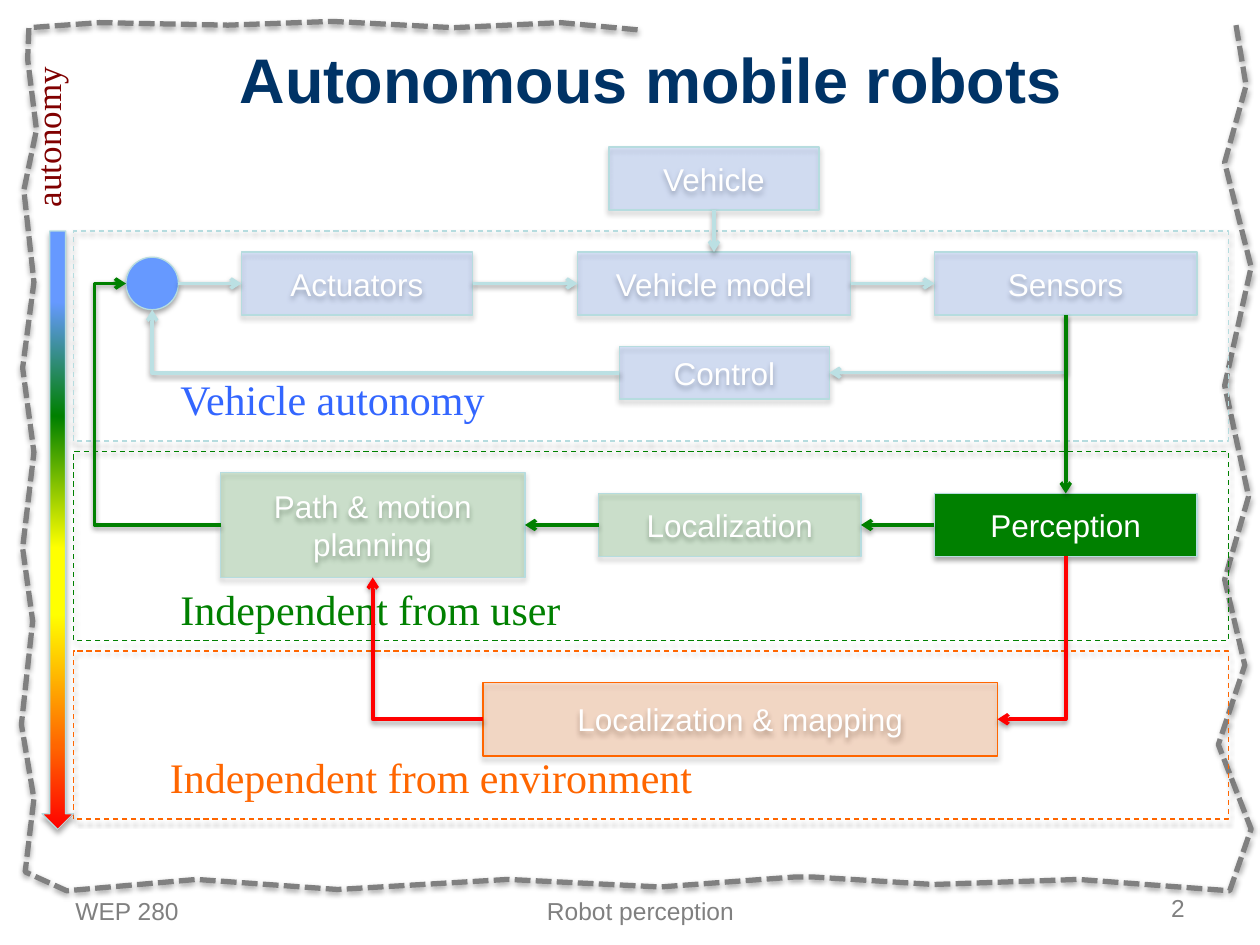
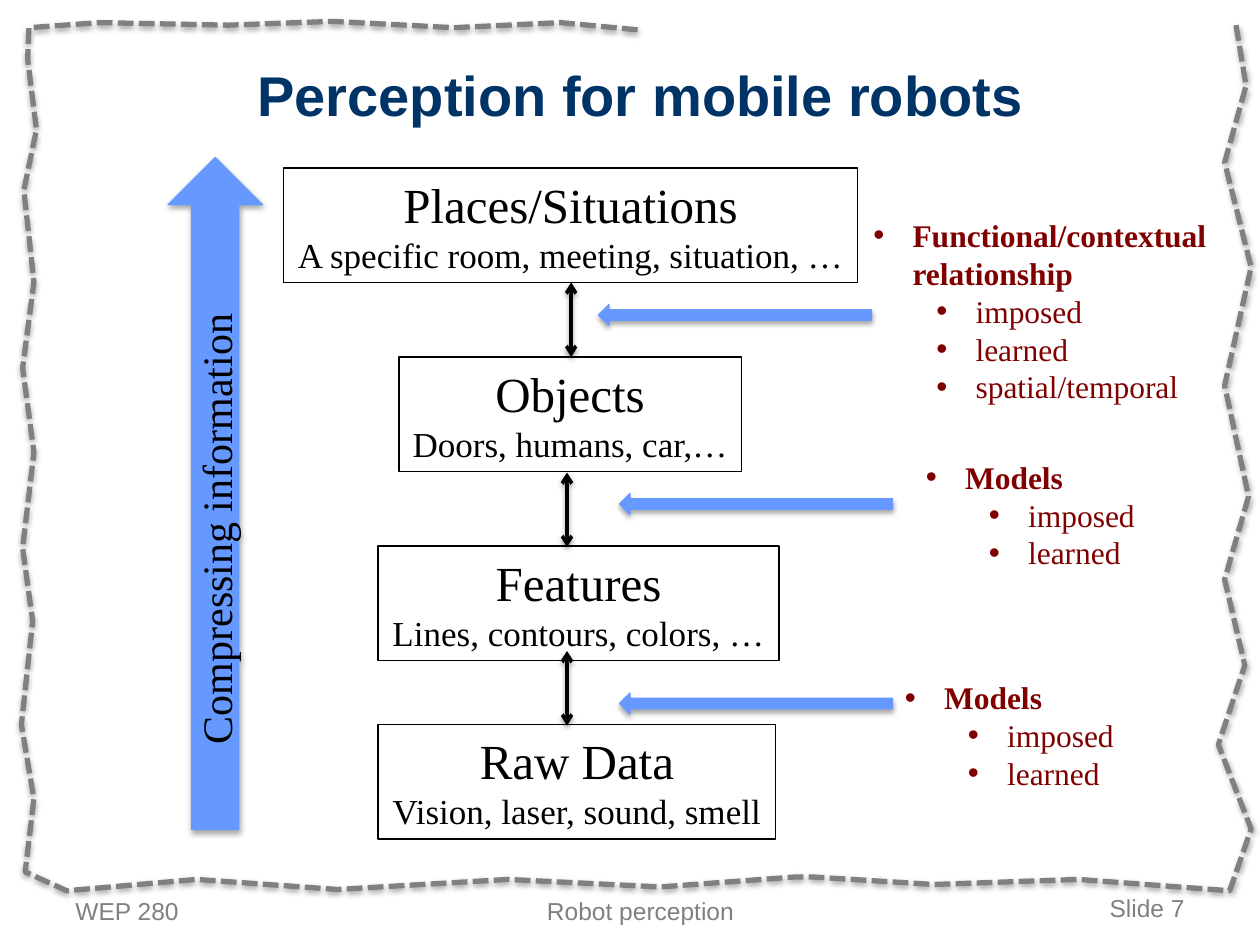
from lxml.etree import SubElement as Sub
from pptx import Presentation
from pptx.dml.color import RGBColor as Rgb
from pptx.enum.dml import MSO_LINE as Dash
from pptx.enum.shapes import MSO_CONNECTOR as Link, MSO_SHAPE as Kind
from pptx.enum.text import MSO_ANCHOR as Anchor, PP_ALIGN as Align
from pptx.oxml.ns import qn
from pptx.util import Cm, Pt

HUES = {
    "title": "003366", "gray": "808080", "blue": "6699FF", "label": "3366FF",
    "edge": "B6DCDF", "pale": "BBE0E3", "green": "008000", "yellow": "FFFF00",
    "orange": "FF6600", "red": "FF0000", "maroon": "800000",
    "white": "FFFFFF", "black": "000000",
}
SANS, SERIF = "Arial", "Times New Roman"
EDGE = [
    (981, 20), (989, 68), (972, 129), (993, 212), (972, 306), (991, 394),
    (972, 460), (988, 528), (967, 591), (993, 658), (976, 707), (856, 698),
    (741, 702), (644, 696), (632, 696), (524, 704), (403, 698), (268, 706),
    (156, 698), (53, 707), (20, 692), (27, 634), (17, 575), (26, 493),
    (18, 435), (27, 359), (18, 292), (27, 224), (19, 151), (29, 103),
    (22, 47), (23, 22), (79, 18), (181, 20), (264, 17), (360, 22),
    (445, 18), (509, 24),
]


def grid(n):
    return Cm(n * 2.54 / 12)


def spots(*nums):
    return [grid(n) for n in nums]


def hue(name):
    return Rgb.from_string(HUES[name])


def shade(part, alpha=35, dist=1.8):
    props = part._element.spPr
    glow = props.find(qn("a:effectLst"))
    if glow is None:
        glow = Sub(props, qn("a:effectLst"))
    drop = Sub(glow, qn("a:outerShdw"), blurRad=str(Pt(3.1)), dist=str(Pt(dist)),
               dir="5400000", rotWithShape="0")
    tint = Sub(drop, qn("a:srgbClr"), val=HUES["black"])
    Sub(tint, qn("a:alpha"), val=str(alpha * 1000))


def style(para, size, color, face=SANS, bold=False):
    for run in para.runs:
        font = run.font
        font.size, font.name, font.bold = Pt(size), face, bold
        font.color.rgb = hue(color)


def write(shape, text, size, color, face=SANS, bold=False,
          align=Align.LEFT, anchor=Anchor.TOP, wrap=True):
    frame = shape.text_frame
    frame.text = text
    frame.word_wrap = wrap
    frame.vertical_anchor = anchor
    frame.paragraphs[0].alignment = align
    style(frame.paragraphs[0], size, color, face, bold)


def label(slide, box, *args, **opts):
    shape = slide.shapes.add_textbox(*spots(*box))
    write(shape, *args, **opts)
    return shape


def block(slide, box, fill=None, line="edge", kind=Kind.RECTANGLE, alpha=100, drop=True):
    shape = slide.shapes.add_shape(kind, *spots(*box))
    shape.shadow.inherit = False
    if fill:
        shape.fill.solid()
        shape.fill.fore_color.rgb = hue(fill)
        if alpha < 100:
            tint = shape._element.spPr.find(qn("a:solidFill"))[0]
            Sub(tint, qn("a:alpha"), val=str(alpha * 1000))
    else:
        shape.fill.background()
    shape.line.color.rgb = hue(line)
    shape.line.width = Pt(0.75)
    if drop:
        shade(shape)
    return shape


def step(slide, box, text, fill="blue", alpha=21, line="edge"):
    shape = block(slide, box, fill, line, alpha=alpha)
    write(shape, text, 18, "white", align=Align.CENTER, anchor=Anchor.MIDDLE)


def ink(link, color, both=False):
    link.line.color.rgb = hue(color)
    link.line.width = Pt(2)
    line = link.line._get_or_add_ln()
    for end in (("headEnd", "tailEnd") if both else ("tailEnd",)):
        Sub(line, qn("a:" + end), type="arrow")
    shade(link, 38, 1.6)


def arrow(slide, start, end, color, both=False):
    link = slide.shapes.add_connector(Link.STRAIGHT, *spots(*start, *end))
    ink(link, color, both)


def bend(slide, start, end, color, turn=180, swing=None):
    (ax, ay), (bx, by) = start, end
    mx, my = (ax + bx) / 2, (ay + by) / 2
    wide, high = abs(bx - ax), abs(by - ay)
    if turn == 90:
        wide, high = high, wide
    link = slide.shapes.add_connector(
        Link.ELBOW, *spots(mx - wide / 2, my - high / 2, mx + wide / 2, my + high / 2))
    props = link._element.spPr
    props.find(qn("a:xfrm")).set("rot", str(turn * 60000))
    geom = props.find(qn("a:prstGeom"))
    if swing:
        Sub(geom.find(qn("a:avLst")), qn("a:gd"), name="adj1", fmla=f"val {swing}")
    else:
        geom.set("prst", "bentConnector2")
    ink(link, color)


def border(slide):
    pen = slide.shapes.build_freeform(*EDGE[0], scale=grid(0.12))
    pen.add_line_segments(EDGE[1:], close=False)
    shape = pen.convert_to_shape()
    shape.shadow.inherit = False
    shape.fill.background()
    shape.line.color.rgb = hue("gray")
    shape.line.width = Pt(3)
    shape.line.dash_style = Dash.SQUARE_DOT
    shape.line._get_or_add_ln().find(qn("a:prstDash")).set("val", "sysDash")
    shade(shape, 38, 1.6)


def base(deck, title, box, size, number):
    slide = deck.slides.add_slide(deck.slide_layouts[6])
    border(slide)
    label(slide, box, title, size, "title", bold=True,
          align=Align.CENTER, anchor=Anchor.MIDDLE)
    top, high = 84.7, 3.5
    label(slide, (6, top, 28, high), "WEP 280", 14, "gray")
    label(slide, (41, top, 40, high), "Robot perception", 14, "gray", align=Align.CENTER)
    label(slide, (86, top, 28, high), number, 14, "gray",
          align=Align.RIGHT, anchor=Anchor.MIDDLE)
    return slide


def zone(slide, box, line, steps):
    x, y = box[:2]
    block(slide, box, line=line).line.dash_style = Dash.DASH
    for text, (dx, dy, wide, high), *look in steps:
        step(slide, (x + dx, y + dy, wide, high), text, *look)


def scale(slide, box):
    x, y, wide, high = box
    shape = block(slide, box, "blue", kind=Kind.DOWN_ARROW)
    shape.fill.gradient()
    shape.fill.gradient_angle = 267
    stops = shape._element.spPr.find(qn("a:gradFill")).find(qn("a:gsLst"))
    for old in list(stops):
        stops.remove(old)
    for pos, name in ((12, "blue"), (31, "green"), (53, "yellow"),
                      (64, "yellow"), (86, "orange"), (100, "red")):
        stop = Sub(stops, qn("a:gs"), pos=str(pos * 1000))
        Sub(stop, qn("a:srgbClr"), val=HUES[name])
    name = label(slide, (x - 7.4, y - 11.7, 15.9, 5.3), "autonomy", 20, "maroon",
                 SERIF, wrap=False)
    name.rotation = 270


def flow(slide):
    bend(slide, (101.5, 30), (79, 35.5), "pale", 90)
    bend(slide, (59, 35.5), (14.5, 29.5), "pale")
    for left, right in ((17, 23), (45, 55), (81, 89)):
        arrow(slide, (left, 27), (right, 27), "pale")
    arrow(slide, (68, 20), (68, 24), "pale")
    arrow(slide, (101.5, 30), (101.5, 47), "green")
    for right, left in ((89, 82), (57, 50)):
        arrow(slide, (right, 50), (left, 50), "green")
    bend(slide, (21, 50), (12, 27), "green", swing=133333)
    bend(slide, (101.5, 53), (95, 68.5), "red", 90)
    bend(slide, (46, 68.5), (35.5, 55), "red")


def robots(deck):
    slide = base(deck, "Autonomous mobile robots", (6, 4, 112, 7), 36, "2")
    step(slide, (58, 14, 20, 6), "Vehicle")
    zone(slide, (7, 22, 110, 20), "edge", [
        ("Actuators", (16, 2, 22, 6)),
        ("Vehicle model", (48, 2, 26, 6)),
        ("Sensors", (82, 2, 25, 6)),
        ("Control", (52, 11, 20, 5)),
    ])
    zone(slide, (7, 43, 110, 18), "green", [
        ("Path & motion planning", (14, 2, 29, 10), "green", 16),
        ("Localization", (50, 4, 25, 6), "green", 16),
        ("Perception", (82, 4, 25, 6), "green", 100),
    ])
    zone(slide, (7, 62, 110, 16), "orange", [
        ("Localization & mapping", (39, 3, 49, 7), "orange", 18, "orange"),
    ])
    block(slide, (12, 24.5, 5, 5), "blue", kind=Kind.OVAL)
    scale(slide, (4, 22, 3, 57))
    for x, y, wide, text, color in (
            (16, 35, 35, "Vehicle autonomy", "label"),
            (16, 55, 40, "Independent from user", "green"),
            (15, 71, 52.8, "Independent from environment", "orange")):
        label(slide, (x, y, wide, 6), text, 24, color, SERIF)
    flow(slide)


def level(slide, box, head, note):
    shape = block(slide, box, line="black", drop=False)
    write(shape, head, 28, "black", SERIF, align=Align.CENTER, wrap=False)
    para = shape.text_frame.add_paragraph()
    para.text = note
    para.alignment = Align.CENTER
    style(para, 20, "black", SERIF)


def points(slide, box, head, items, wrap):
    frame = slide.shapes.add_textbox(*spots(*box)).text_frame
    frame.word_wrap = wrap
    for i, text in enumerate([head] + items):
        para = frame.add_paragraph() if i else frame.paragraphs[0]
        para.text = text
        para.level = min(i, 1)
        props = para._p.get_or_add_pPr()
        props.set("marL", str(Cm(2.06 if i else 0.79)))
        props.set("indent", str(-Cm(0.79)))
        Sub(props, qn("a:buFont"), typeface=SANS)
        Sub(props, qn("a:buChar"), char="•")
        style(para, 18, "maroon", SERIF, bold=not i)


def climb(slide, box):
    x, y, wide, high = box
    left, top = x + (wide - high) / 2, y + (high - wide) / 2
    shape = block(slide, (left, top, high, wide), "blue", "blue", Kind.RIGHT_ARROW)
    shape.rotation = 270
    write(shape, "Compressing information", 24, "black", SERIF,
          align=Align.CENTER, anchor=Anchor.MIDDLE)
    shape.text_frame.margin_right = Cm(1.2)


def senses(deck):
    slide = base(deck, "Perception for mobile robots", (6, 4, 110, 10), 32, "Slide 7")
    for x, y, wide, head, note in (
            (27, 16, 54.7, "Places/Situations", "A specific room, meeting, situation, …"),
            (38, 34, 32.6, "Objects", "Doors, humans, car,…"),
            (36, 52, 38.2, "Features", "Lines, contours, colors, …"),
            (36, 69, 37.9, "Raw Data", "Vision, laser, sound, smell")):
        level(slide, (x, y, wide, 10.9), head, note)
    for x, y in ((54.4, 26.9), (54, 45), (54, 62)):
        arrow(slide, (x, y), (x, y + 7.1), "black", both=True)
    climb(slide, (16, 15, 9, 64))
    pair = ["imposed", "learned"]
    points(slide, (82, 20, 37, 19.4), "Functional/contextual relationship",
           pair + ["spatial/temporal"], True)
    for x, y in ((87, 43), (85, 64)):
        points(slide, (x, y, 22.4, 12.1), "Models", pair, False)
    for x, y in ((57, 29), (59, 47), (59, 66)):
        block(slide, (x, y, 26, 2), "blue", "blue", Kind.LEFT_ARROW)


def main():
    deck = Presentation()
    deck.slide_width, deck.slide_height = Cm(25.4), Cm(19.05)
    robots(deck)
    senses(deck)
    deck.save("out.pptx")


if __name__ == "__main__":
    main()
